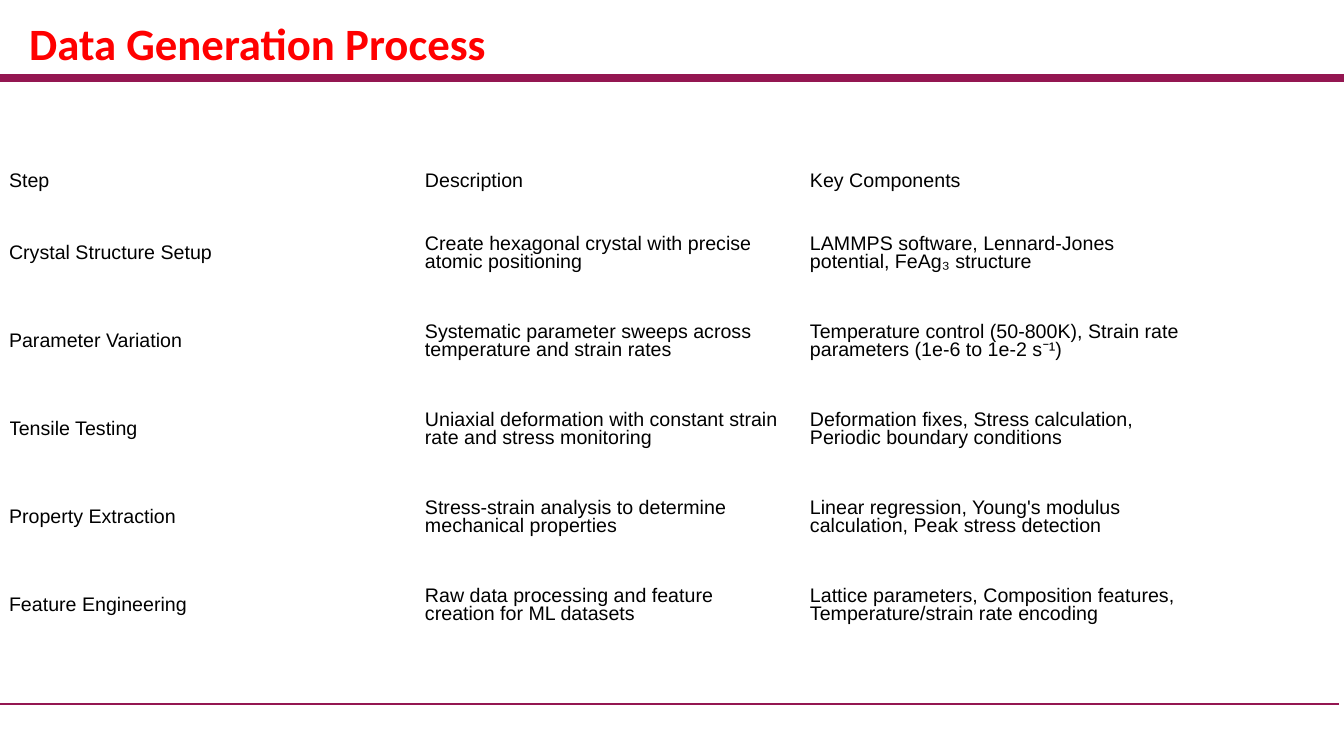
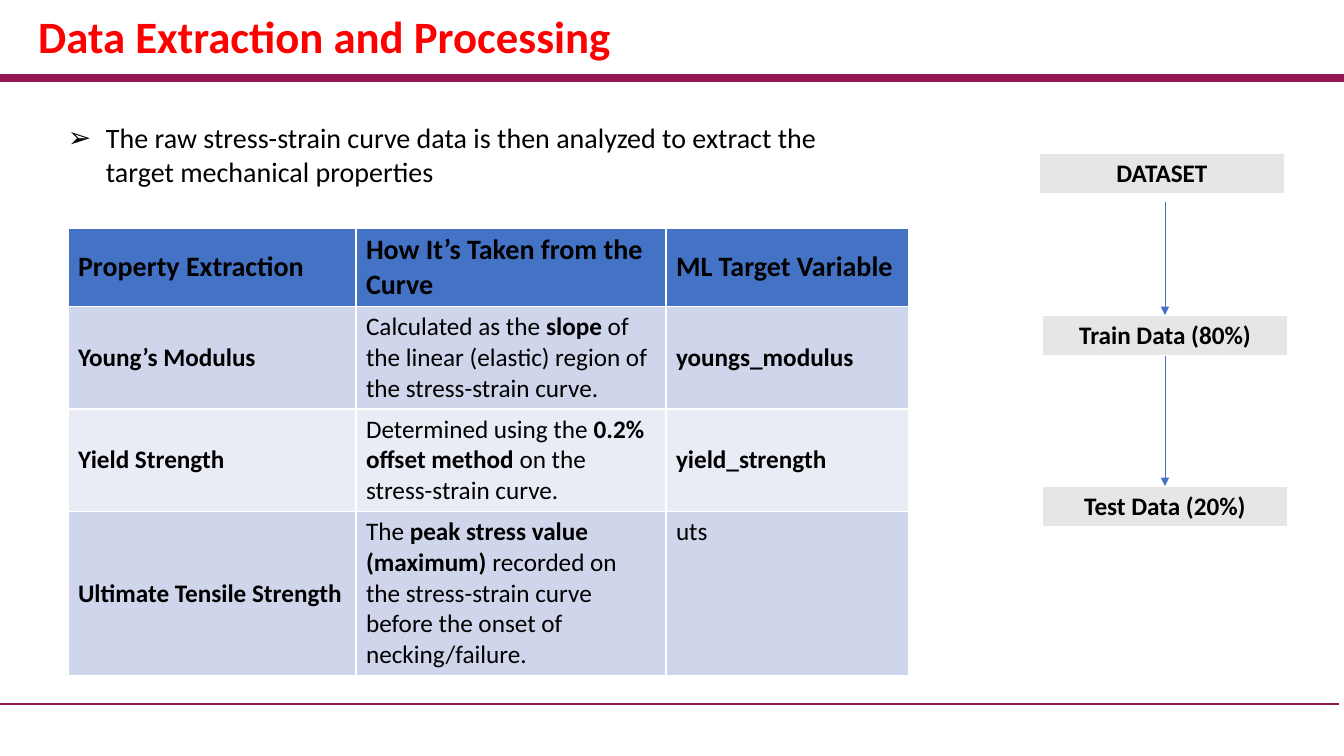
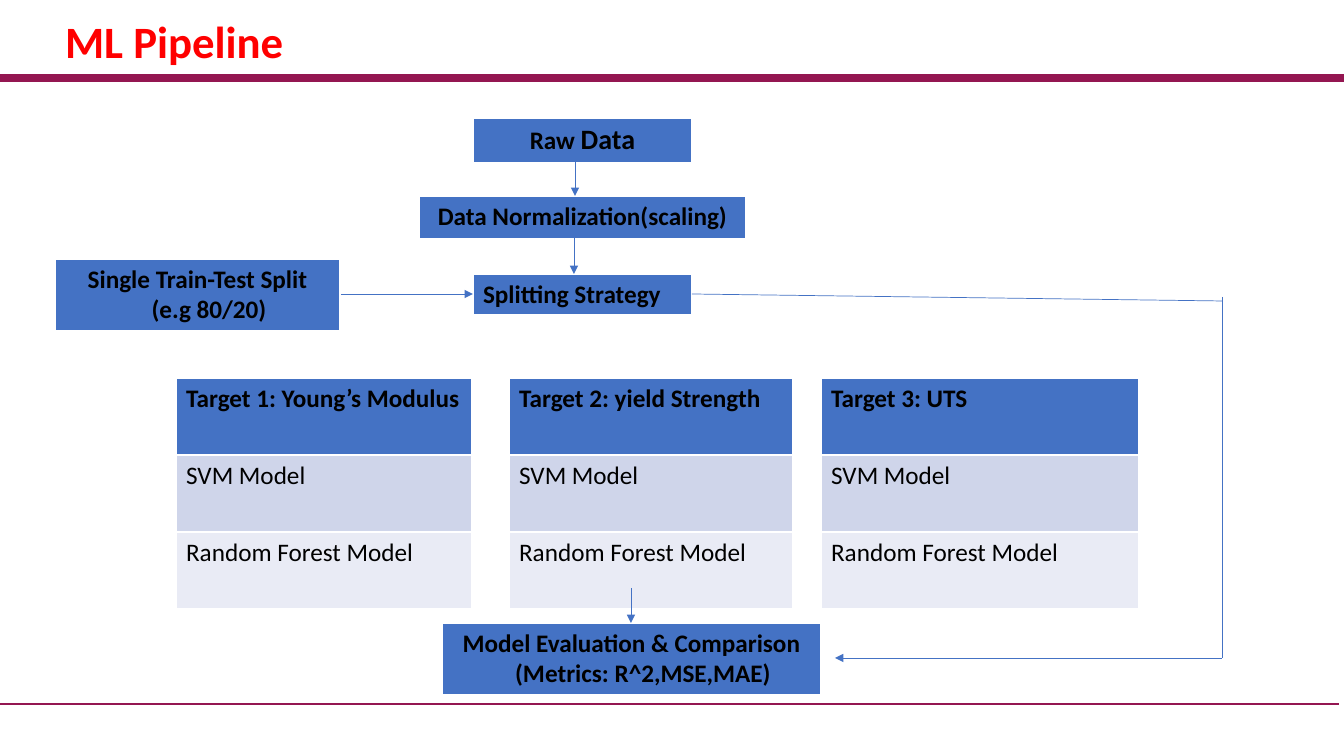
from pptx import Presentation
from pptx.dml.color import RGBColor as RGB
from pptx.enum.shapes import MSO_CONNECTOR
from pptx.enum.text import MSO_ANCHOR as ANCHOR, MSO_AUTO_SIZE as AUTO, PP_ALIGN as ALIGN
from pptx.oxml.ns import qn
from pptx.util import Emu, Pt
from lxml import etree

WIDE, HIGH = 1344, 756
SCALE = 12192000 / WIDE

BLACK = RGB(0x00, 0x00, 0x00)
RED = RGB(0xFF, 0x00, 0x00)
PLUM = RGB(0x94, 0x16, 0x51)
BLUE = RGB(0x44, 0x72, 0xC4)
DARK = RGB(0xCF, 0xD5, 0xEA)
LIGHT = RGB(0xE9, 0xEB, 0xF5)
GREY = RGB(0xE7, 0xE6, 0xE6)

# Bold words stand between asterisks.
STEPS = [
    ("Step", "Description", "Key Components"),
    ("Crystal Structure Setup",
     "Create hexagonal crystal with precise atomic positioning",
     "LAMMPS software, Lennard-Jones potential, FeAg₃ structure"),
    ("Parameter Variation",
     "Systematic parameter sweeps across temperature and strain rates",
     "Temperature control (50-800K), Strain rate parameters (1e-6 to 1e-2 s⁻¹)"),
    ("Tensile Testing",
     "Uniaxial deformation with constant strain rate and stress monitoring",
     "Deformation fixes, Stress calculation, Periodic boundary conditions"),
    ("Property Extraction",
     "Stress-strain analysis to determine mechanical properties",
     "Linear regression, Young's modulus calculation, Peak stress detection"),
    ("Feature Engineering",
     "Raw data processing and feature creation for ML datasets",
     "Lattice parameters, Composition features, Temperature/strain rate encoding"),
]
POINT = ("The raw stress-strain curve data is then analyzed to extract "
         "the target mechanical properties")
TRAITS = [
    ("*Property Extraction*", "*How It’s Taken from the Curve*", "*ML Target Variable*"),
    ("*Young’s Modulus*",
     "Calculated as the *slope* of the linear (elastic) region of the stress-strain curve.",
     "*youngs_modulus*"),
    ("*Yield Strength*",
     "Determined using the *0.2% offset method* on the stress-strain curve.",
     "*yield_strength*"),
    ("*Ultimate Tensile Strength*",
     "The *peak stress value (maximum)* recorded on the stress-strain curve "
     "before the onset of necking/failure.",
     "uts"),
]
# Boxes: x, y, width, height, lines
SPLITS = [
    (1039, 153, 246, 41, ["*DATASET*"]),
    (1042, 315, 246, 41, ["*Train Data (80%)*"]),
    (1042, 486, 246, 41, ["*Test Data (20%)*"]),
]
STAGES = [
    (473, 118, 219, 43, ["*Raw *Data*"]),
    (419, 196, 327, 43, ["*Data Normalization(scaling)*"]),
    (473, 274, 219, 41, ["*Splitting Strategy*"]),
    (55, 259, 285, 71, ["*Single Train-Test Split*", "*(e.g 80/20)*"]),
    (442, 623, 379, 71, ["*Model Evaluation & Comparison*", "*(Metrics: R^2,MSE,MAE)*"]),
]
TARGETS = [
    (176, 296, "*Target 1: Young’s Modulus*"),
    (509, 284, "*Target 2: yield Strength*"),
    (821, 318, "*Target 3: UTS*"),
]
MODELS = ["SVM Model", "Random Forest Model"]
# Lines: x1, y1, x2, y2, arrowhead
SPLIT_FLOW = [(1165, 202, 1165, 315, True), (1165, 356, 1165, 486, True)]
STAGE_FLOW = [
    (575, 156, 575, 196, True),
    (574, 235, 574, 274, True),
    (341, 294, 473, 294, True),
    (631, 588, 631, 623, True),
    (692, 294, 1222, 301, False),
    (1222, 297, 1222, 658, False),
    (1222, 658, 835, 658, True),
]


def px(n):
    return Emu(round(n * SCALE))


def style(para, size, color=BLACK, name="Calibri", align=ALIGN.LEFT):
    para.alignment = align
    font = para.font
    font.name, font.size, font.color.rgb = name, Pt(size), color


def write(para, text, size, **look):
    """Fill a paragraph, with the words between asterisks in bold."""
    for i, part in enumerate(text.split("*")):
        if part:
            run = para.add_run()
            run.text, run.font.bold = part, i % 2 == 1
    style(para, size, **look)


def line(slide, x1, y1, x2, y2, head=False, color=BLUE, width=0.5):
    link = slide.shapes.add_connector(
        MSO_CONNECTOR.STRAIGHT, px(x1), px(y1), px(x2), px(y2))
    link.line.color.rgb, link.line.width = color, Pt(width)
    if head:
        ln = link.line._get_or_add_ln()
        etree.SubElement(ln, qn("a:tailEnd")).set("type", "triangle")
    etree.SubElement(link._element.spPr, qn("a:effectLst"))
    return link


def grid(slide, x, y, cols, rows):
    frame = slide.shapes.add_table(
        len(rows), len(cols), px(x), px(y), px(sum(cols)), px(sum(rows)))
    table = frame.table
    table.horz_banding = False
    for col, w in zip(table.columns, cols):
        col.width = px(w)
    for row, h in zip(table.rows, rows):
        row.height = px(h)
    return table


def paint(cell, color):
    cell.fill.solid()
    cell.fill.fore_color.rgb = color


def box(slide, x, y, w, h, lines, color):
    cell = grid(slide, x, y, [w], [h]).cell(0, 0)
    paint(cell, color)
    frame = cell.text_frame
    for i, text in enumerate(lines):
        para = frame.add_paragraph() if i else frame.paragraphs[0]
        write(para, text, 18, align=ALIGN.CENTER)
        if i:
            para._p.get_or_add_pPr().set("marL", str(px(23)))
    return frame.paragraphs[0]


def page(deck, text, x, y, w):
    slide = deck.slides.add_slide(deck.slide_layouts[5])
    title = slide.shapes.title
    title.left, title.top, title.width, title.height = px(x), px(y), px(w), px(65)
    frame = title.text_frame
    frame.auto_size, frame.word_wrap = AUTO.NONE, True
    frame.vertical_anchor = ANCHOR.TOP
    write(frame.paragraphs[0], f"*{text}*", 32, color=RED)
    return slide


def rule(slide):
    """Put the two shared rules on the slide's layout."""
    layout = slide.slide_layout
    for spare in list(layout.placeholders)[1:]:
        spare._element.getparent().remove(spare._element)
    rules = [line(slide, 0, 78, WIDE, 78, color=PLUM, width=6),
             line(slide, 0, 704, 1339, 704, color=PLUM, width=1.5)]
    for link in rules:
        layout.shapes._spTree.append(link._element)


def process(deck):
    slide = page(deck, "Data Generation Process", 19, 11, 482)
    rule(slide)
    table = grid(slide, 9, 154, [405, 385, 385], [57] + [88] * 5)
    table.first_row = False
    for r, row in enumerate(STEPS):
        for c, text in enumerate(row):
            cell = table.cell(r, c)
            cell.fill.background()
            cell.vertical_anchor = ANCHOR.MIDDLE
            cell.margin_left = px(11 if c else 0)
            cell.margin_right = px(0 if r and c == 2 else 11)
            cell.margin_top = cell.margin_bottom = px(7)
            para = cell.text_frame.paragraphs[0]
            para.line_spacing = Pt(12.5)
            write(para, text, 14, name="Arial")


def extract(deck):
    slide = page(deck, "Data Extraction and Processing", 28, 4, 599)
    table = grid(slide, 68, 228, [288, 310, 243], [77, 101, 101, 162])
    for r, (row, color) in enumerate(zip(TRAITS, [BLUE, DARK, LIGHT, DARK])):
        for c, text in enumerate(row):
            cell = table.cell(r, c)
            paint(cell, color)
            cell.vertical_anchor = ANCHOR.TOP if text == "uts" else ANCHOR.MIDDLE
            write(cell.text_frame.paragraphs[0], text, 18 if r else 20)

    note = slide.shapes.add_textbox(px(58), px(116), px(778), px(78)).text_frame
    note.word_wrap = True
    para = note.paragraphs[0]
    props = para._p.get_or_add_pPr()
    props.set("marL", str(px(38)))
    props.set("indent", str(px(-38)))
    etree.SubElement(props, qn("a:buFont")).set("typeface", "Arial")
    etree.SubElement(props, qn("a:buChar")).set("char", "➢")
    write(para, POINT, 20)

    for part in SPLITS:
        box(slide, *part, GREY)
    for link in SPLIT_FLOW:
        line(slide, *link)


def pipeline(deck):
    slide = page(deck, "ML Pipeline", 55, 9, 388)
    raw, _, split, *_ = [box(slide, *stage, BLUE) for stage in STAGES]
    last = raw.runs[-1].font
    last.size, last.bold = Pt(20), True
    split.alignment = ALIGN.LEFT

    for x, w, head in TARGETS:
        table = grid(slide, x, 378, [w], [77] * 3)
        for r, (text, color) in enumerate(zip([head] + MODELS, [BLUE, DARK, LIGHT])):
            cell = table.cell(r, 0)
            paint(cell, color)
            write(cell.text_frame.paragraphs[0], text, 18)
    for link in STAGE_FLOW:
        line(slide, *link)


def main():
    deck = Presentation()
    deck.slide_width, deck.slide_height = px(WIDE), px(HIGH)
    for build in (process, extract, pipeline):
        build(deck)
    deck.save("out.pptx")


if __name__ == "__main__":
    main()
